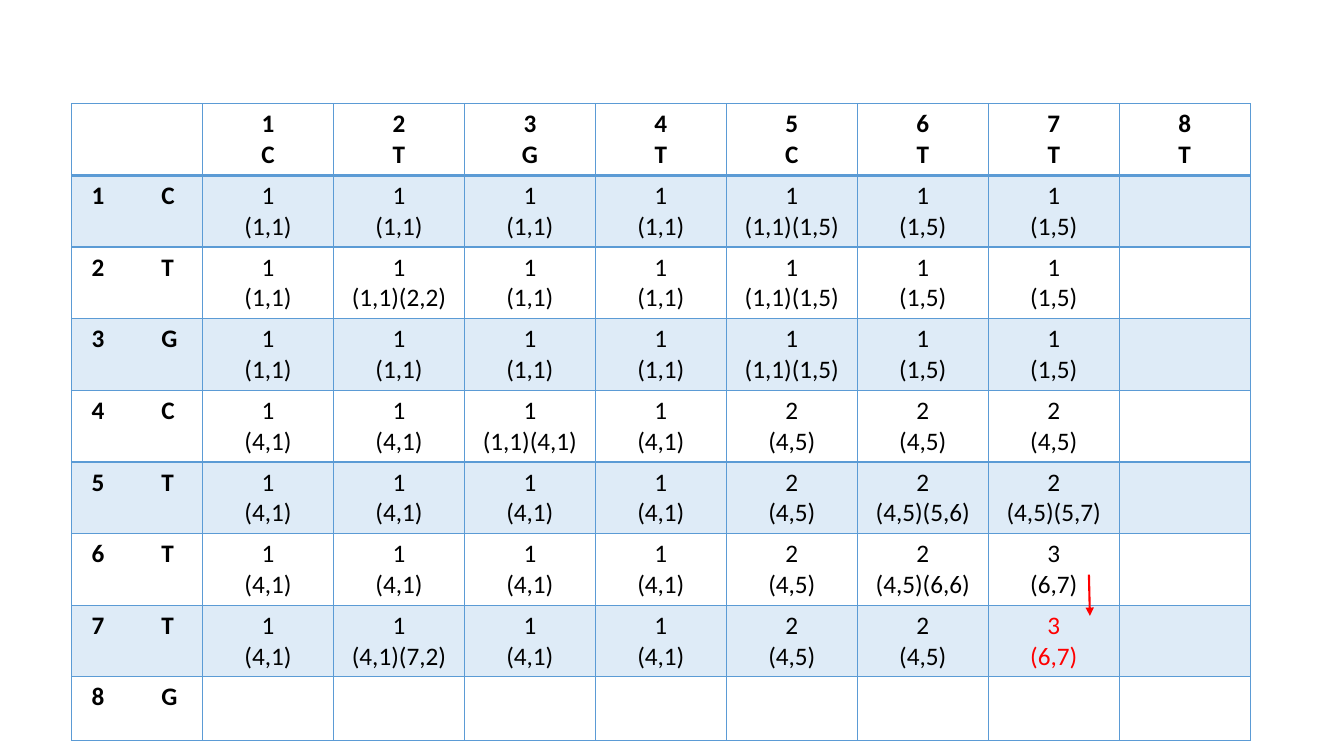
from lxml import etree
from pptx import Presentation
from pptx import util as u
from pptx.dml.color import RGBColor
from pptx.enum import shapes, text
from pptx.oxml import ns

TOP = "CTGTCTTT"
SIDE = "CTGCTTTG"
SCORES = [
    "1 (1,1)|1 (1,1)|1 (1,1)|1 (1,1)|1 (1,1)(1,5)|1 (1,5)|1 (1,5)|",
    "1 (1,1)|1 (1,1)(2,2)|1 (1,1)|1 (1,1)|1 (1,1)(1,5)|1 (1,5)|1 (1,5)|",
    "1 (1,1)|1 (1,1)|1 (1,1)|1 (1,1)|1 (1,1)(1,5)|1 (1,5)|1 (1,5)|",
    "1 (4,1)|1 (4,1)|1 (1,1)(4,1)|1 (4,1)|2 (4,5)|2 (4,5)|2 (4,5)|",
    "1 (4,1)|1 (4,1)|1 (4,1)|1 (4,1)|2 (4,5)|2 (4,5)(5,6)|2 (4,5)(5,7)|",
    "1 (4,1)|1 (4,1)|1 (4,1)|1 (4,1)|2 (4,5)|2 (4,5)(6,6)|3 (6,7)|",
    "1 (4,1)|1 (4,1)(7,2)|1 (4,1)|1 (4,1)|2 (4,5)|2 (4,5)|3 (6,7)|",
    "|||||||",
]
CURRENT = (7, 7)
BLUE, BAND, RED, BLACK = "5B9BD5", "DEEBF7", "FF0000", "000000"
LEFT, TOP_EDGE, WIDTH = 0.71, 1.03, 11.69
ROW, LAST_ROW = 0.71, 0.63
ARROW = (10.8, 5.7, 10.81, 6.11)


def color(value):
    return RGBColor.from_string(value)


def child(parent, tag, **attrs):
    return etree.SubElement(parent, ns.qn(tag), attrs)


def set_borders(cell, header):
    tc_pr = cell._tc.get_or_add_tcPr()
    for side in "LRTB":
        points = 2 if header and side == "B" else 1
        line = child(tc_pr, f"a:ln{side}", w=str(u.Pt(points)))
        child(child(line, "a:solidFill"), "a:srgbClr", val=BLUE)


def write(cell, lines, align, bold, ink):
    tf = cell.text_frame
    for i, line in enumerate(lines):
        p = tf.add_paragraph() if i else tf.paragraphs[0]
        p.alignment = align
        if "\t" in line:
            tabs = child(p._p.get_or_add_pPr(), "a:tabLst")
            child(tabs, "a:tab", pos=str(u.Inches(0.69)), algn="l")
        r = p.add_run()
        r.text = line
        for name, value in {"name": "Calibri", "size": u.Pt(18), "bold": bold}.items():
            setattr(r.font, name, value)
        r.font.color.rgb = color(ink)


def add_grid(s):
    header = [[]] + [[str(n), base] for n, base in enumerate(TOP, 1)]
    rows = [header] + [
        [[f"{n}\t{base}"]] + [score.split() for score in scores.split("|")]
        for n, (base, scores) in enumerate(zip(SIDE, SCORES), 1)
    ]
    heights = [ROW] * (len(rows) - 1) + [LAST_ROW]
    box = [u.Inches(v) for v in (LEFT, TOP_EDGE, WIDTH, sum(heights))]
    table = s.shapes.add_table(len(rows), len(header), *box).table
    table.first_row = table.horz_banding = False
    for column in table.columns:
        column.width = u.Inches(WIDTH / len(header))
    for i, (row, height) in enumerate(zip(rows, heights)):
        table.rows[i].height = u.Inches(height)
        for j, lines in enumerate(row):
            cell = table.cell(i, j)
            set_borders(cell, i == 0)
            if i % 2:
                cell.fill.solid()
                cell.fill.fore_color.rgb = color(BAND)
            else:
                cell.fill.background()
            if j == 0:
                cell.margin_left = u.Inches(0.2)
            align = text.PP_ALIGN.CENTER if j else text.PP_ALIGN.LEFT
            ink = RED if (i, j) == CURRENT else BLACK
            write(cell, lines, align, i == 0 or j == 0, ink)


def add_arrow(s):
    ends = [u.Inches(v) for v in ARROW]
    arrow = s.shapes.add_connector(shapes.MSO_CONNECTOR.STRAIGHT, *ends)
    arrow.line.width = u.Pt(1.5)
    arrow.line.color.rgb = color(RED)
    child(arrow.line._get_or_add_ln(), "a:tailEnd", type="triangle")
    child(arrow._element.spPr, "a:effectLst")


def main():
    prs = Presentation()
    prs.slide_width, prs.slide_height = u.Inches(13.33), u.Inches(7.5)
    s = prs.slides.add_slide(prs.slide_layouts[6])
    add_grid(s)
    add_arrow(s)
    prs.save("out.pptx")


if __name__ == "__main__":
    main()
